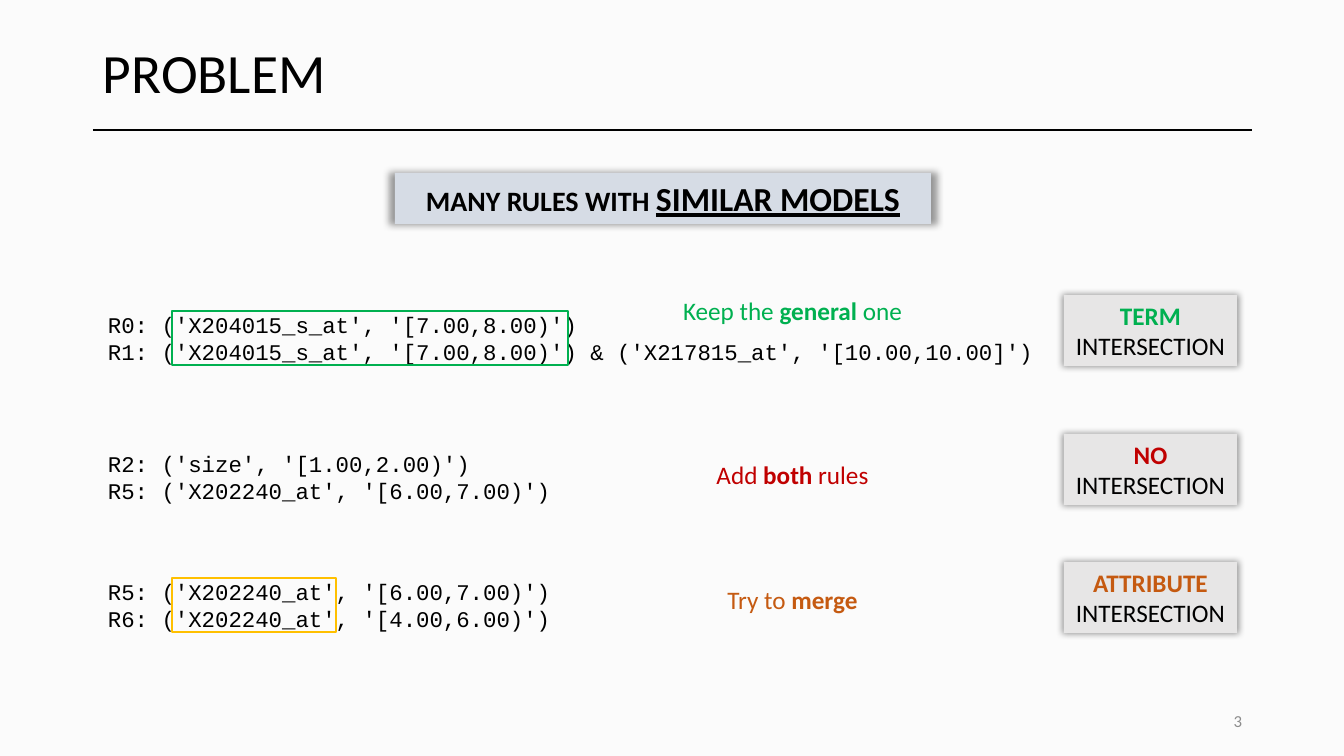
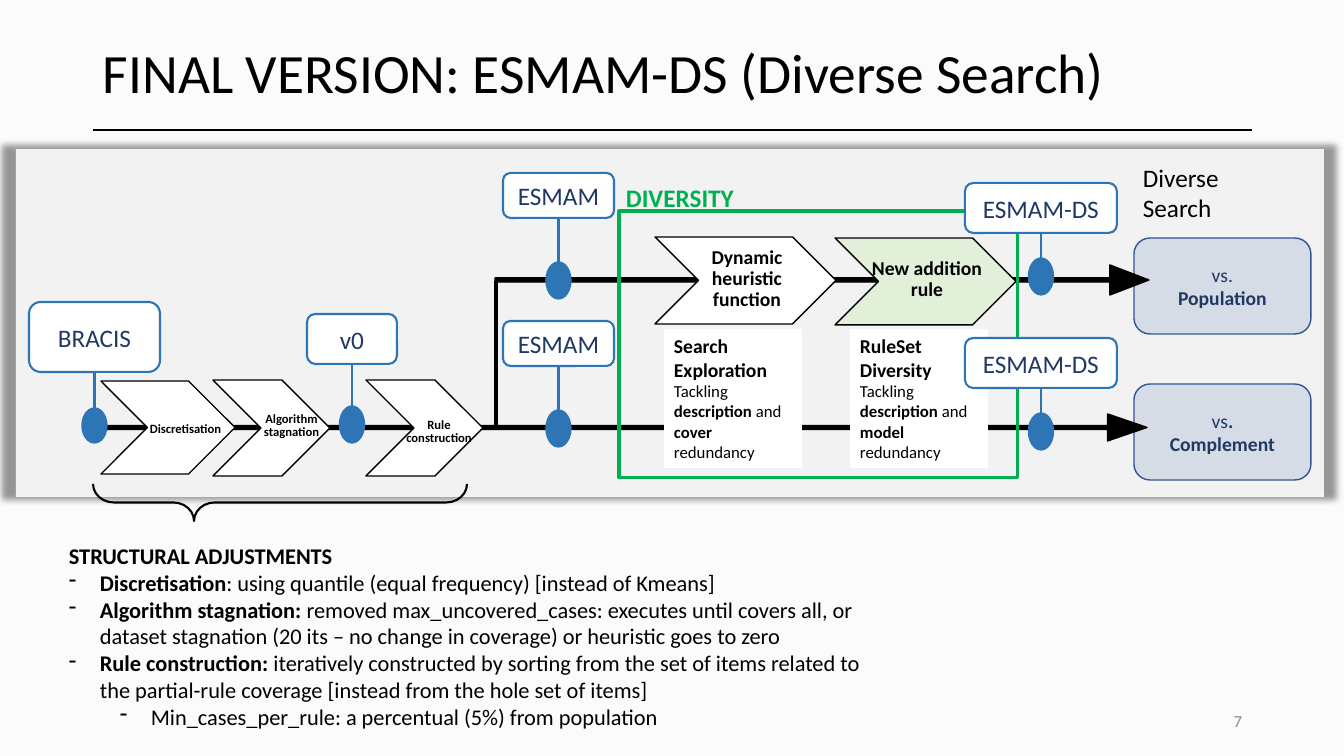
from dataclasses import dataclass

from lxml.etree import SubElement
from pptx import Presentation
from pptx.dml.color import RGBColor
from pptx.enum.shapes import MSO_CONNECTOR, MSO_SHAPE
from pptx.enum.text import MSO_ANCHOR, PP_ALIGN
from pptx.oxml.ns import qn
from pptx.util import Emu, Pt

SCALE = 914400 / 100.8


def px(length):
    return Emu(round(length * SCALE))


@dataclass(frozen=True)
class Theme:
    font: str = "Calibri"
    code_font: str = "Courier New"
    paper: str = "FBFBFB"
    ink: str = "000000"
    white: str = "FFFFFF"
    muted: str = "8C8C8C"
    panel: str = "F2F2F2"
    tag: str = "E7E6E6"
    steel: str = "D6DCE5"
    steel_line: str = "325491"
    navy: str = "203864"
    blue: str = "2E75B6"
    green: str = "00B050"
    pale_green: str = "E2F0D9"
    red: str = "C00000"
    orange: str = "C55A11"
    amber: str = "FFC000"
    title: float = 39.6
    accent: int = 24
    banner: int = 20
    label: int = 18
    body: int = 16
    step: int = 14
    small: int = 12
    tiny: int = 9


THEME = Theme()


@dataclass(frozen=True)
class Box:
    left: int
    top: int
    width: int
    height: int

    def inner(self, left, top, width, height):
        """A box whose place is measured from this box's top left corner."""
        return Box(self.left + left, self.top + top, width, height)

    def emu(self):
        return [px(n) for n in (self.left, self.top, self.width, self.height)]


def write(frame, lines, size, color=THEME.ink, align=PP_ALIGN.LEFT, font=THEME.font,
          spacing=None):
    """Fill a frame with lines, where **marks** enclose bold words."""
    for index, line in enumerate(lines):
        para = frame.paragraphs[0] if index == 0 else frame.add_paragraph()
        para.alignment = align
        if spacing:
            para.line_spacing = spacing
        for order, words in enumerate(line.split("**")):
            if words:
                span = para.add_run()
                span.text = words
                span.font.bold = order % 2 == 1
        style(para, size, color, font)


def style(para, size, color, font=THEME.font):
    for span in para.runs:
        span.font.name = font
        span.font.size = Pt(size)
        span.font.color.rgb = RGBColor.from_string(color)


def add_text(page, box, lines, size, color=THEME.ink, align=PP_ALIGN.LEFT,
             anchor=MSO_ANCHOR.TOP, insets=None, wrap=True, **options):
    frame = page.shapes.add_textbox(*box.emu()).text_frame
    frame.word_wrap = wrap
    frame.vertical_anchor = anchor
    if insets:
        (frame.margin_left, frame.margin_top,
         frame.margin_right, frame.margin_bottom) = map(px, insets)
    write(frame, lines, size, color, align, **options)
    return frame


def add_shape(page, kind, box, fill=None, line=None, weight=1.0, adjustments=(), glow=False):
    shape = page.shapes.add_shape(kind, *box.emu())
    shape.shadow.inherit = False
    if fill:
        shape.fill.solid()
        shape.fill.fore_color.rgb = RGBColor.from_string(fill)
    else:
        shape.fill.background()
    if line:
        shape.line.color.rgb = RGBColor.from_string(line)
        shape.line.width = Pt(weight)
    else:
        shape.line.fill.background()
    for index, value in enumerate(adjustments):
        shape.adjustments[index] = value
    if glow:
        add_glow(shape)
    return shape


def add_glow(shape):
    """Give a shape a soft shadow, a little larger than itself on all sides."""
    effects = shape._element.spPr.find(qn("a:effectLst"))
    shadow = SubElement(effects, qn("a:outerShdw"), blurRad=str(Pt(5)), sx="102000",
                        sy="102000", algn="ctr", rotWithShape="0")
    color = SubElement(shadow, qn("a:srgbClr"), val=THEME.ink)
    SubElement(color, qn("a:alpha"), val="40000")


def add_line(page, start, end, color, weight):
    line = page.shapes.add_connector(MSO_CONNECTOR.STRAIGHT, *map(px, (*start, *end)))
    line.line.color.rgb = RGBColor.from_string(color)
    line.line.width = Pt(weight)
    SubElement(line._element.spPr, qn("a:effectLst"))


def add_page(deck, title, number):
    """Add a page with the background, title, rule and number all pages share."""
    page = deck.slides.add_slide(deck.slide_layouts[6])
    page.background.fill.solid()
    page.background.fill.fore_color.rgb = RGBColor.from_string(THEME.paper)
    add_line(page, (93, 130), (1252, 130), THEME.ink, 1.5)
    add_text(page, Box(93, 40, 1159, 71), [title], THEME.title,
             anchor=MSO_ANCHOR.MIDDLE, spacing=0.9)
    add_text(page, Box(950, 701, 302, 40), [str(number)], THEME.small, THEME.muted,
             PP_ALIGN.RIGHT, MSO_ANCHOR.MIDDLE)
    return page


def add_banner(page, box):
    frame = add_shape(page, MSO_SHAPE.RECTANGLE, box, THEME.steel, glow=True).text_frame
    frame.vertical_anchor = MSO_ANCHOR.TOP
    write(frame, ["**MANY RULES WITH ****SIMILAR MODELS**"], THEME.banner,
          align=PP_ALIGN.CENTER)
    accent = frame.paragraphs[0].runs[-1].font
    accent.size = Pt(THEME.accent)
    accent.underline = True


def add_rule_case(page, box, rules, advice, advice_top, kind, color, mark=None):
    """Place a pair of rules, the advice for them and the kind of overlap."""
    add_text(page, box.inner(0, 16, 938, 54), rules, THEME.body, anchor=MSO_ANCHOR.MIDDLE,
             insets=(0, 0, 0, 0), wrap=False, font=THEME.code_font)
    if mark:
        width, mark_color = mark
        add_shape(page, MSO_SHAPE.RECTANGLE, box.inner(64, 16, width, 54),
                  line=mark_color, weight=1.5)
    tag = add_shape(page, MSO_SHAPE.RECTANGLE, box.inner(box.width - 173, 0, 173, box.height),
                    THEME.tag, glow=True)
    write(tag.text_frame, [f"**{kind}**", "INTERSECTION"], THEME.label, align=PP_ALIGN.CENTER)
    style(tag.text_frame.paragraphs[0], THEME.label, color)
    add_text(page, box.inner(556, advice_top, 257, 40), [advice], THEME.label, color,
             PP_ALIGN.CENTER)


def add_step(page, box, label, label_box, size, fill=THEME.white):
    """Place a chevron and its label, which may reach past the outline."""
    add_shape(page, MSO_SHAPE.CHEVRON, box, fill, THEME.ink)
    add_text(page, box.inner(*label_box), [f"**{label}**"], size, align=PP_ALIGN.CENTER,
             anchor=MSO_ANCHOR.MIDDLE, insets=(6, 2, 2, 2), spacing=0.9)


def add_milestone(page, box, label, drop, dot_height=37):
    """Place a badge with a dot hanging below it on a stem."""
    center, bottom = box.left + box.width / 2, box.top + box.height
    add_shape(page, MSO_SHAPE.OVAL, Box(center - 12.5, bottom + drop, 25, dot_height),
              THEME.blue, THEME.blue)
    badge = add_shape(page, MSO_SHAPE.ROUNDED_RECTANGLE, box, THEME.white, THEME.blue, 1.5)
    write(badge.text_frame, [label], THEME.label, THEME.navy, PP_ALIGN.CENTER)
    add_line(page, (center, bottom), (center, bottom + drop), THEME.blue, 1.5)


def add_diversity_card(page, box, heading, subject):
    frame = add_shape(page, MSO_SHAPE.RECTANGLE, box, THEME.white).text_frame
    frame.vertical_anchor = MSO_ANCHOR.TOP
    write(frame, [f"**{heading}**", f"Tackling **description** and **{subject}** redundancy"],
          THEME.small)
    style(frame.paragraphs[0], THEME.step, THEME.ink)


def add_timeline(page, box):
    add_shape(page, MSO_SHAPE.RECTANGLE, box, THEME.panel, glow=True)
    for top, lines in ((235, ["vs**.**", "**Complement**"]), (89, ["vs.", "**Population**"])):
        goal = add_shape(page, MSO_SHAPE.ROUNDED_RECTANGLE, box.inner(1118, top, 177, 96),
                         THEME.steel, THEME.steel_line)
        write(goal.text_frame, lines, THEME.step, THEME.navy, PP_ALIGN.CENTER)

    for place, head in (((79, 265, 1052, 27), 1.46), ((479, 116, 654, 30), 1.3)):
        add_shape(page, MSO_SHAPE.RIGHT_ARROW, box.inner(*place), THEME.ink, THEME.ink,
                  adjustments=(0.14, head))
    fork = box.left + 480
    add_line(page, (fork, box.top + 132), (fork, box.top + 281), THEME.ink, 3)

    add_text(page, box.inner(1117, 8, 114, 72), ["Diverse Search"], THEME.label)
    add_diversity_card(page, box.inner(648, 180, 138, 139), "Search Exploration", "cover")
    add_diversity_card(page, box.inner(834, 180, 138, 139), "RuleSet Diversity", "model")

    steps = (
        ((639, 88, 181, 87), "Dynamic heuristic function", (15, 0, 150, 84), THEME.step,
         THEME.white),
        ((819, 89, 181, 87), "New addition rule", (15, 0, 150, 84), THEME.step,
         THEME.pale_green),
        ((85, 232, 134, 93), "Discretisation", (41, 2, 83, 93), THEME.tiny, THEME.white),
        ((197, 231, 117, 96), "Algorithm stagnation", (28, 4, 97, 84), THEME.tiny,
         THEME.white),
        ((350, 231, 117, 96), "Rule construction", (30, 10, 82, 84), THEME.tiny,
         THEME.white),
    )
    for place, *details in steps:
        add_step(page, box.inner(*place), *details)

    add_shape(page, MSO_SHAPE.RECTANGLE, box.inner(603, 62, 399, 267),
              line=THEME.green, weight=2.25)
    add_text(page, box.inner(600, 28, 141, 40), ["**DIVERSITY**"], THEME.label, THEME.green)

    milestones = (
        ((13, 153, 131, 70), "BRACIS", 36, 35),
        ((291, 165, 90, 50), "v0", 42),
        ((487, 24, 111, 45), "ESMAM", 44),
        ((487, 172, 111, 45), "ESMAM", 44),
        ((949, 34, 152, 50), "ESMAM-DS", 25),
        ((949, 189, 152, 50), "ESMAM-DS", 25),
    )
    for place, *details in milestones:
        add_milestone(page, box.inner(*place), *details)


def add_brace(page, box):
    """Place a brace that opens upwards, by turning a right brace in the box."""
    middle_x, middle_y = box.left + box.width / 2, box.top + box.height / 2
    upright = Box(middle_x - box.height / 2, middle_y - box.width / 2, box.height, box.width)
    brace = add_shape(page, MSO_SHAPE.RIGHT_BRACE, upright, line=THEME.ink, weight=1.5,
                      adjustments=(0.56, 0.73))
    brace.rotation = 90


def add_adjustments(page, box):
    lines = [
        "**STRUCTURAL ADJUSTMENTS**",
        "**Discretisation**: using quantile (equal frequency) [instead of Kmeans]",
        "**Algorithm stagnation:** removed max_uncovered_cases: executes until covers all, or "
        "dataset stagnation (20 its – no change in coverage) or heuristic goes to zero",
        "**Rule construction:** iteratively constructed by sorting from the set of items "
        "related to the partial-rule coverage [instead from the hole set of items]",
        "Min_cases_per_rule: a percentual (5%) from population",
    ]
    frame = add_text(page, box, lines, THEME.body)
    paras = frame.paragraphs
    paras[-1].level = 1
    for para in paras[1:]:
        properties = para._p.get_or_add_pPr()
        properties.set("marL", str(px(82 if para.level else 31)))
        properties.set("indent", str(-px(31)))
        SubElement(properties, qn("a:buChar"), char="-")


def build_problem(deck):
    page = add_page(deck, "PROBLEM", 3)
    add_banner(page, Box(395, 173, 536, 51))
    cases = (
        (295, ["R0: ('X204015_s_at', '[7.00,8.00)')",
               "R1: ('X204015_s_at', '[7.00,8.00)') & ('X217815_at', '[10.00,10.00]')"],
         "Keep the **general** one", -5, "TERM", THEME.green, (396, THEME.green)),
        (434, ["R2: ('size', '[1.00,2.00)')", "R5: ('X202240_at', '[6.00,7.00)')"],
         "Add **both** rules", 20, "NO", THEME.red),
        (562, ["R5: ('X202240_at', '[6.00,7.00)')", "R6: ('X202240_at', '[4.00,6.00)')"],
         "Try to **merge**", 17, "ATTRIBUTE", THEME.orange, (164, THEME.amber)),
    )
    for top, *details in cases:
        add_rule_case(page, Box(108, top, 1129, 71), *details)


def build_final_version(deck):
    page = add_page(deck, "FINAL VERSION: ESMAM-DS (Diverse Search)", 7)
    add_adjustments(page, Box(59, 537, 814, 210))
    add_timeline(page, Box(16, 149, 1308, 348))
    add_brace(page, Box(93, 484, 374, 37))


def main():
    deck = Presentation()
    deck.slide_width, deck.slide_height = px(1344), px(756)
    build_problem(deck)
    build_final_version(deck)
    deck.save("out.pptx")


if __name__ == "__main__":
    main()
